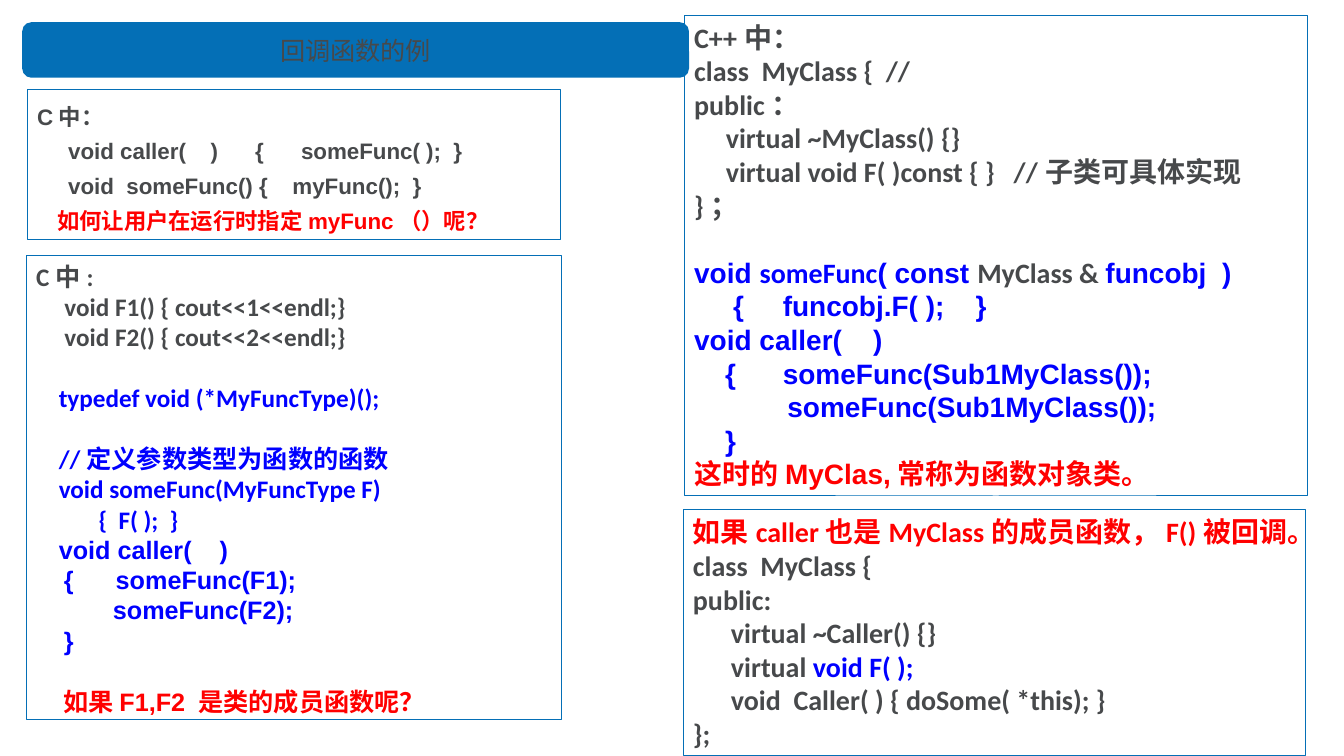
from dataclasses import dataclass

import pptx
import pptx.dml.color
import pptx.enum.shapes
import pptx.enum.text
import pptx.util

Cm = pptx.util.Cm
Pt = pptx.util.Pt
Shapes = pptx.enum.shapes.MSO_SHAPE
Anchor = pptx.enum.text.MSO_ANCHOR
Align = pptx.enum.text.PP_ALIGN


@dataclass(frozen=True)
class Theme:
    blue: str = "046FB6"
    ink: str = "47494B"
    code: str = "0000FF"
    note: str = "FF0000"
    sans: str = "Calibri"
    arial: str = "Arial"
    small: int = 16
    medium: int = 18
    large: int = 20


THEME = Theme()
INK = (THEME.sans, THEME.ink)
INK_ARIAL = (THEME.arial, THEME.ink)
CODE = (THEME.sans, THEME.code)
CODE_ARIAL = (THEME.arial, THEME.code)
NOTE = (THEME.sans, THEME.note)
NOTE_ARIAL = (THEME.arial, THEME.note)


def line(*pieces, gap=0, indent=0):
    return pieces, gap, indent


def lines(style, *texts):
    return [line((text, style)) for text in texts]


class SlideBuilder:
    def __init__(self, theme, width, height):
        self.theme = theme
        self.deck = pptx.Presentation()
        self.deck.slide_width = Cm(width)
        self.deck.slide_height = Cm(height)
        self.slide = self.deck.slides.add_slide(self.deck.slide_layouts[6])

    def colour(self, code):
        return pptx.dml.color.RGBColor.from_string(code)

    def shape(self, kind, place):
        shape = self.slide.shapes.add_shape(kind, *map(Cm, place))
        shape.shadow.inherit = False
        return shape

    def style_run(self, run, style, size, bold):
        run.font.name, colour = style
        run.font.size = Pt(size)
        run.font.bold = bold
        run.font.color.rgb = self.colour(colour)

    def title_bar(self, place, title):
        bar = self.shape(Shapes.ROUNDED_RECTANGLE, place)
        bar.fill.solid()
        bar.fill.fore_color.rgb = self.colour(self.theme.blue)
        bar.line.fill.background()
        bar.text_frame.text = title
        bar.text_frame.vertical_anchor = Anchor.MIDDLE
        heading = bar.text_frame.paragraphs[0]
        heading.alignment = Align.CENTER
        self.style_run(heading.runs[0], INK, self.theme.medium, False)

    def code_panel(self, place, listing, size, spacing=1.0):
        panel = self.shape(Shapes.RECTANGLE, place)
        panel.fill.background()
        panel.line.color.rgb = self.colour(self.theme.blue)
        panel.line.width = Pt(0.75)
        frame = panel.text_frame
        frame.word_wrap = True
        frame.vertical_anchor = Anchor.TOP
        for number, (pieces, gap, indent) in enumerate(listing):
            paragraph = frame.add_paragraph() if number else frame.paragraphs[0]
            paragraph.alignment = Align.LEFT
            paragraph.line_spacing = spacing
            if gap:
                paragraph.space_before = Pt(gap)
            if indent:
                paragraph._p.get_or_add_pPr().set("marL", str(Cm(indent)))
            for text, style in pieces:
                run = paragraph.add_run()
                run.text = text
                self.style_run(run, style, size, True)

    def save(self):
        self.deck.save("out.pptx")


QUESTION = [
    *lines(
        INK_ARIAL,
        "C中：",
        "     void caller(    )      {      someFunc( );  }",
        "     void  someFunc() {    myFunc();  }",
    ),
    line(("如何让用户在运行时指定myFunc（）呢？", NOTE_ARIAL), indent=0.5),
]

FUNCTION_POINTER = [
    *lines(
        INK,
        "C中:",
        "     void F1() { cout<<1<<endl;}",
        "     void F2() { cout<<2<<endl;}",
    ),
    line(("    typedef void (*MyFuncType)();", CODE), gap=22),
    line(("    //定义参数类型为函数的函数", CODE), gap=22),
    *lines(CODE, "    void someFunc(MyFuncType F)", "           {  F( );  }"),
    line(("    ", CODE), ("void caller(    )", CODE_ARIAL)),
    *lines(
        CODE_ARIAL,
        "    {      someFunc(F1);",
        "           someFunc(F2);",
        "    }",
    ),
    line(("如果F1,F2 是类的成员函数呢？", NOTE_ARIAL), gap=22, indent=0.68),
]

FUNCTION_OBJECT = [
    *lines(
        INK,
        "C++中：",
        "class  MyClass {  //",
        "public：",
        "     virtual ~MyClass() {}",
        "     virtual void F( )const { }   //子类可具体实现",
        "}；",
    ),
    line(
        ("void ", CODE_ARIAL),
        ("someFunc", CODE),
        ("( const ", CODE_ARIAL),
        ("MyClass & ", INK),
        ("funcobj  )", CODE_ARIAL),
        gap=24,
    ),
    *lines(
        CODE_ARIAL,
        "     {     funcobj.F( );    }",
        "void caller(    )",
        "    {      someFunc(Sub1MyClass());",
        "            someFunc(Sub1MyClass());",
        "    }",
    ),
    line(("这时的MyClas,常称为函数对象类。", NOTE_ARIAL)),
]

MEMBER_CALLER = [
    line(
        ("如果caller也是MyClass的成员函数，F()被回调。", NOTE),
        ("class  MyClass {", INK),
    ),
    *lines(INK, "public:", "      virtual ~Caller() {}"),
    line(("      virtual ", INK), ("void F( );", CODE)),
    *lines(INK, "      void  Caller( ) { doSome( *this); }", "};"),
]


def main():
    builder = SlideBuilder(THEME, 33.88, 19.05)
    builder.code_panel((0.69, 2.26, 13.44, 3.78), QUESTION, THEME.small, 1.3)
    builder.title_bar((0.56, 0.56, 16.81, 1.4), "回调函数的例")
    builder.code_panel((0.66, 6.45, 13.49, 11.68), FUNCTION_POINTER, THEME.medium)
    builder.code_panel((17.25, 0.38, 15.7, 12.12), FUNCTION_OBJECT, THEME.large)
    builder.code_panel((17.22, 12.85, 15.7, 6.2), MEMBER_CALLER, THEME.large)
    builder.save()


if __name__ == "__main__":
    main()
